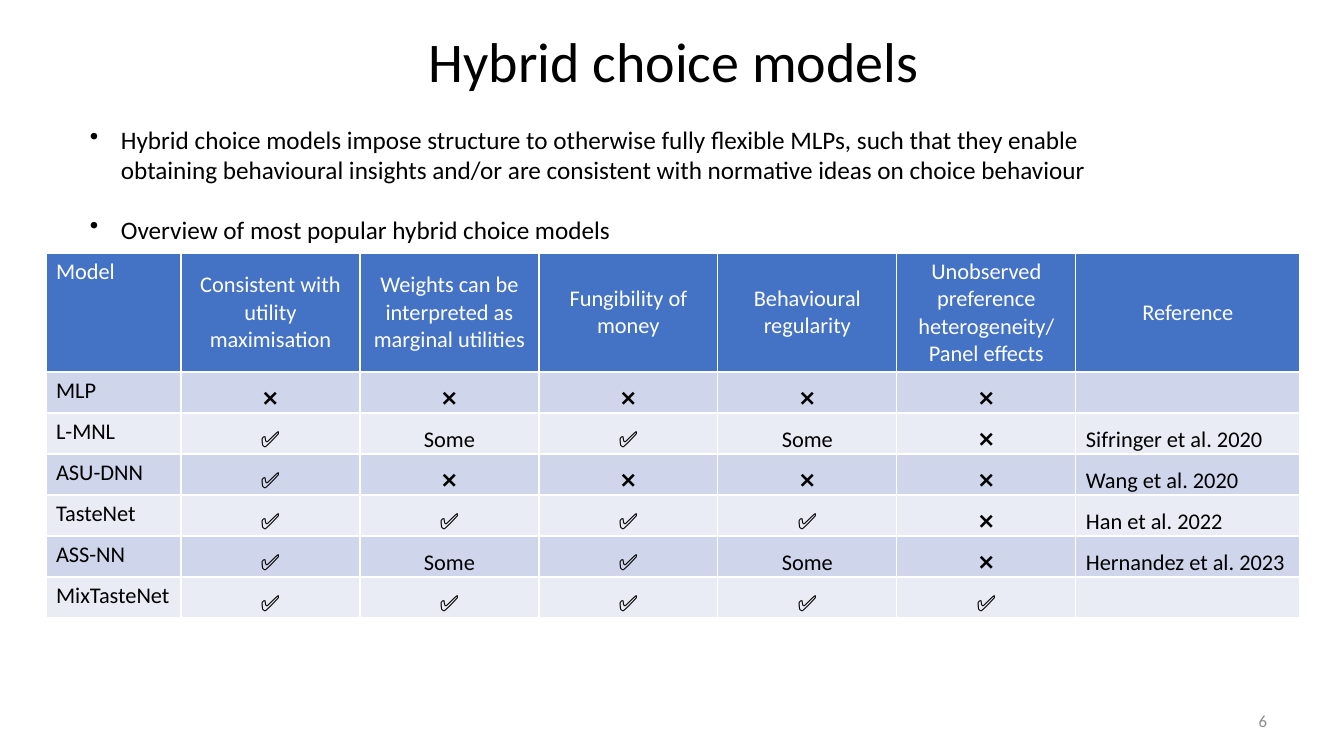
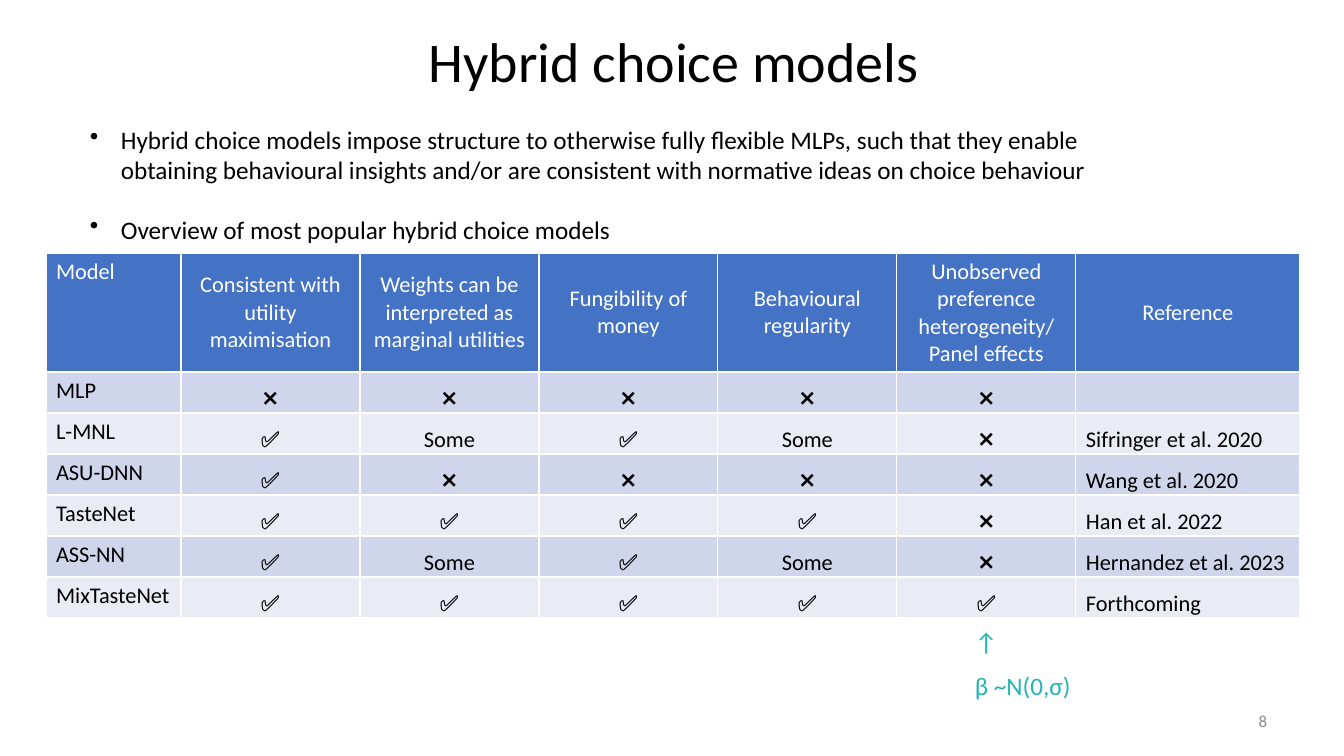
"""Builds two slides comparing hybrid choice models."""
from dataclasses import dataclass

from lxml import etree
from pptx import Presentation, util as u
from pptx.dml.color import RGBColor
from pptx.enum import text as t
from pptx.oxml import ns

INK = {"text": "000000", "page": "8C8C8C", "note": "24B5B3", "line": "FFFFFF",
       "head": "4472C4", "odd": "CFD5EA", "even": "E9EBF5"}
FONT = "Calibri"
LEFT, MID, RIGHT = t.PP_ALIGN.LEFT, t.PP_ALIGN.CENTER, t.PP_ALIGN.RIGHT
TOP, CORE, BASE = t.MSO_ANCHOR.TOP, t.MSO_ANCHOR.MIDDLE, t.MSO_ANCHOR.BOTTOM

TITLE = "Hybrid choice models"
POINTS = ("Hybrid choice models impose structure to otherwise fully flexible MLPs, "
          "such that they enable obtaining behavioural insights and/or are "
          "consistent with normative ideas on choice behaviour\n"
          "Overview of most popular hybrid choice models")
HEADS = ("Model", "Consistent with utility maximisation",
         "Weights can be interpreted as marginal utilities", "Fungibility of money",
         "Behavioural regularity",
         "Unobserved preference heterogeneity/\nPanel effects", "Reference")
YES, NO, SOME = "✅", "❌", "Some"
WIDTHS = (135, *[179] * 5, 224)
HEAD_H, ROW_H = 119, 41


@dataclass(frozen=True)
class Box:
    left: int
    top: int
    width: int
    height: int


@dataclass(frozen=True)
class Style:
    size: int
    ink: str = "text"
    align: t.PP_ALIGN = LEFT
    anchor: t.MSO_ANCHOR = TOP


@dataclass(frozen=True)
class Model:
    name: str
    marks: tuple[str, ...]
    source: str = ""


@dataclass(frozen=True)
class Page:
    number: int
    final: str = ""
    notes: tuple[tuple[str, Box], ...] = ()


MODELS = (
    Model("MLP", (NO,) * 5),
    Model("L-MNL", (YES, SOME, YES, SOME, NO), "Sifringer et al. 2020"),
    Model("ASU-DNN", (YES, NO, NO, NO, NO), "Wang et al. 2020"),
    Model("TasteNet", (YES, YES, YES, YES, NO), "Han et al. 2022"),
    Model("ASS-NN", (YES, SOME, YES, SOME, NO), "Hernandez et al. 2023"),
)
PAGES = (
    Page(6),
    Page(8, "Forthcoming", (("↑", Box(965, 621, 53, 45)),
                            ("β ~N(0,σ)", Box(965, 665, 198, 80)))),
)


def px(n: int) -> u.Emu:
    return u.Emu(round(n * 914400 / 100.8))


def paint(frame, words: str, style: Style) -> None:
    frame.text = words
    frame.word_wrap = True
    for para in frame.paragraphs:
        para.alignment = style.align
        font = para.font
        font.name, font.size, font.bold = FONT, u.Pt(style.size), False
        font.color.rgb = RGBColor.from_string(INK[style.ink])


def write(slide, words: str, box: Box, style: Style):
    frame = slide.shapes.add_textbox(
        px(box.left), px(box.top), px(box.width), px(box.height)).text_frame
    frame.vertical_anchor = style.anchor
    paint(frame, words, style)
    return frame


def list_points(slide) -> None:
    frame = write(slide, POINTS, Box(80, 119, 1090, 131), Style(18))
    for i, para in enumerate(frame.paragraphs):
        props = para._p.get_or_add_pPr()
        props.set("marL", str(px(31)))
        props.set("indent", str(-px(31)))
        mark = etree.Element(ns.qn("a:buChar"), char="•")
        props.insert_element_before(mark, "a:tabLst", "a:defRPr", "a:extLst")
        if i:
            para.space_before = u.Pt(21)


def edge(cell) -> None:
    props = cell._tc.get_or_add_tcPr()
    for side in ("lnL", "lnR", "lnT", "lnB"):
        line = etree.SubElement(props, ns.qn(f"a:{side}"), w=str(u.Pt(1)))
        fill = etree.SubElement(line, ns.qn("a:solidFill"))
        etree.SubElement(fill, ns.qn("a:srgbClr"), val=INK["line"])


def fill_cell(cell, words: str, row: int, col: int) -> None:
    edge(cell)
    tone = "head" if row == 0 else "odd" if row % 2 else "even"
    cell.fill.solid()
    cell.fill.fore_color.rgb = RGBColor.from_string(INK[tone])
    last = len(HEADS) - 1
    flush = col == 0 or (row and col == last)
    cell.vertical_anchor = TOP if col == 0 else BASE if row else CORE
    if row and col and words:
        cell.margin_top = cell.margin_bottom = 0
    paint(cell.text_frame, words,
          Style(16, "text" if row else "line", LEFT if flush else MID))


def draw_table(slide, final: str) -> None:
    models = (*MODELS, Model("MixTasteNet", (YES,) * 5, final))
    rows = (HEADS, *((m.name, *m.marks, m.source) for m in models))
    high = HEAD_H + ROW_H * len(models)
    grid = slide.shapes.add_table(len(rows), len(HEADS), px(46), px(253),
                                  px(sum(WIDTHS)), px(high)).table
    for col, wide in zip(grid.columns, WIDTHS):
        col.width = px(wide)
    for r, row in enumerate(rows):
        grid.rows[r].height = px(ROW_H if r else HEAD_H)
        for c, words in enumerate(row):
            fill_cell(grid.cell(r, c), words, r, c)


def draw_page(deck, page: Page) -> None:
    slide = deck.slides.add_slide(deck.slide_layouts[6])
    title = write(slide, TITLE, Box(79, 15, 1189, 99), Style(40, "text", MID, CORE))
    title.paragraphs[0].line_spacing = 0.9
    write(slide, str(page.number), Box(1238, 701, 39, 40),
          Style(12, "page", RIGHT, CORE))
    list_points(slide)
    draw_table(slide, page.final)
    for words, box in page.notes:
        write(slide, words, box, Style(18, "note"))


def main() -> None:
    deck = Presentation()
    deck.slide_width, deck.slide_height = px(1344), px(756)
    for page in PAGES:
        draw_page(deck, page)
    deck.save("out.pptx")


if __name__ == "__main__":
    main()
